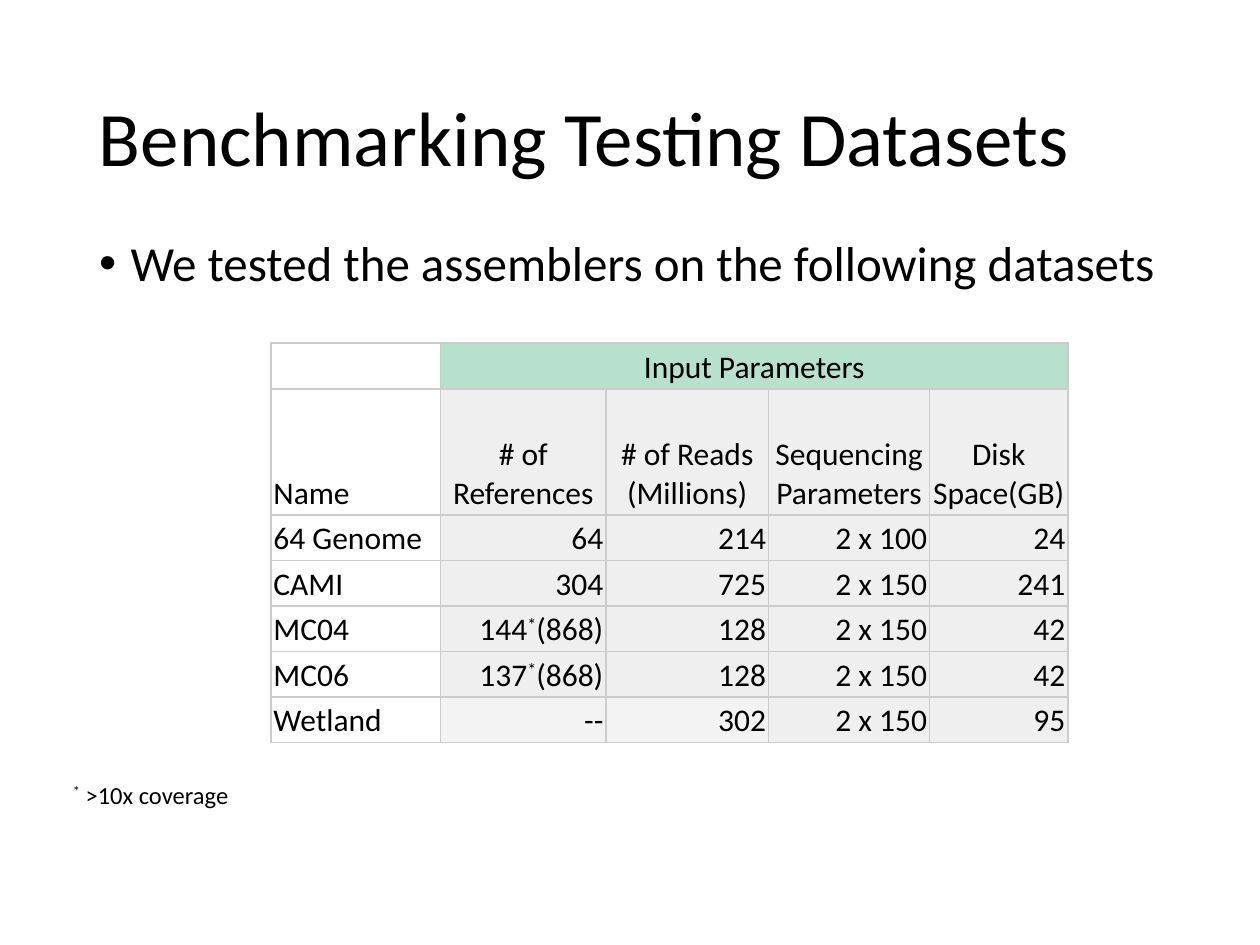
from pptx import Presentation
from pptx.dml.color import RGBColor
from pptx.enum import text
from pptx.oxml import parse_xml
from pptx.oxml import ns
from pptx.util import Pt

BLACK = RGBColor(0, 0, 0)
MINT = RGBColor(0xB7, 0xE1, 0xCD)
GRAY = RGBColor(0xEF, 0xEF, 0xEF)
PALE_GRAY = RGBColor(0xF3, 0xF3, 0xF3)
BORDER = RGBColor(0xCC, 0xCC, 0xCC)
FONT = "Calibri"
LEFT, CENTER, RIGHT = text.PP_ALIGN.LEFT, text.PP_ALIGN.CENTER, text.PP_ALIGN.RIGHT
TOP, MIDDLE, BOTTOM = text.MSO_ANCHOR.TOP, text.MSO_ANCHOR.MIDDLE, text.MSO_ANCHOR.BOTTOM

TITLE = "Benchmarking Testing Datasets"
STATEMENT = "We tested the assemblers on the following datasets"
FOOTNOTE = "* >10x coverage"
DATASETS = [
    ["", "Input Parameters", "", "", ""],
    ["Name", "# of References", "# of Reads\n(Millions)", "Sequencing Parameters", "Disk Space(GB)"],
    ["64 Genome", "64", "214", "2 x 100", "24"],
    ["CAMI", "304", "725", "2 x 150", "241"],
    ["MC04", "144*(868)", "128", "2 x 150", "42"],
    ["MC06", "137*(868)", "128", "2 x 150", "42"],
    ["Wetland", "--", "302", "2 x 150", "95"],
]
COLUMN_WIDTHS = [97, 94.5, 93, 92, 79]
ROW_HEIGHTS = [26.5, 72] + [26] * 5
PALE_CELLS = {(6, 1), (6, 2)}


def write(frame, content, size, **paragraph_format):
    for index, line in enumerate(content.split("\n")):
        paragraph = frame.add_paragraph() if index else frame.paragraphs[0]
        for name, value in paragraph_format.items():
            setattr(paragraph, name, value)
        for part in line.replace("*", "\t*\t").split("\t"):
            if not part:
                continue
            run = paragraph.add_run()
            run.text = part
            run.font.name, run.font.size = FONT, Pt(size)
            run.font.color.rgb = BLACK
            if part == "*":
                run.font._element.set("baseline", "30000")


def add_text(place, content, size, anchor=TOP, **paragraph_format):
    frame = slide.shapes.add_textbox(*map(Pt, place)).text_frame
    frame.word_wrap = True
    frame.vertical_anchor = anchor
    write(frame, content, size, **paragraph_format)
    return frame


def add_borders(cell):
    properties = cell._tc.get_or_add_tcPr()
    for index, side in enumerate(("lnL", "lnR", "lnT", "lnB")):
        properties.insert(index, parse_xml(
            f'<a:{side} {ns.nsdecls("a")} w="{Pt(1)}"><a:solidFill>'
            f'<a:srgbClr val="{BORDER}"/></a:solidFill></a:{side}>'))


deck = Presentation()
deck.slide_width, deck.slide_height = Pt(720), Pt(540)
slide = deck.slides.add_slide(deck.slide_layouts[6])

add_text((49.5, 28.75, 621, 104.4), TITLE, 44, MIDDLE, line_spacing=0.9)
statement = add_text((49.5, 133.2, 643.5, 211), STATEMENT, 28,
                     line_spacing=0.9, space_before=Pt(10))
bullet = statement.paragraphs[0]._p.get_or_add_pPr()
bullet.set("marL", str(Pt(18)))
bullet.set("indent", str(Pt(-18)))
bullet.append(parse_xml(f'<a:buFont {ns.nsdecls("a")} typeface="Arial"/>'))
bullet.append(parse_xml(f'<a:buChar {ns.nsdecls("a")} char="•"/>'))

datasets = slide.shapes.add_table(
    len(ROW_HEIGHTS), len(COLUMN_WIDTHS), Pt(154.8), Pt(195.9),
    Pt(sum(COLUMN_WIDTHS)), Pt(sum(ROW_HEIGHTS))).table
datasets.first_row = datasets.horz_banding = False
for column, width in zip(datasets.columns, COLUMN_WIDTHS):
    column.width = Pt(width)
for row, height in zip(datasets.rows, ROW_HEIGHTS):
    row.height = Pt(height)
datasets.cell(0, 1).merge(datasets.cell(0, 4))

CELL_FORMAT = dict(vertical_anchor=BOTTOM, margin_left=Pt(1.5), margin_right=Pt(1.5),
                   margin_top=Pt(1.5), margin_bottom=Pt(1.5))
for r, values in enumerate(DATASETS):
    for c, value in enumerate(values):
        cell = datasets.cell(r, c)
        for name, setting in CELL_FORMAT.items():
            setattr(cell, name, setting)
        if c == 0:
            cell.fill.background()
        else:
            cell.fill.solid()
            cell.fill.fore_color.rgb = MINT if r == 0 else PALE_GRAY if (r, c) in PALE_CELLS else GRAY
        write(cell.text_frame, value, 18,
              alignment=LEFT if c == 0 else CENTER if r < 2 else RIGHT)
        add_borders(cell)

add_text((34.6, 442.1, 120.2, 24.5), FOOTNOTE, 14)

deck.save("out.pptx")
